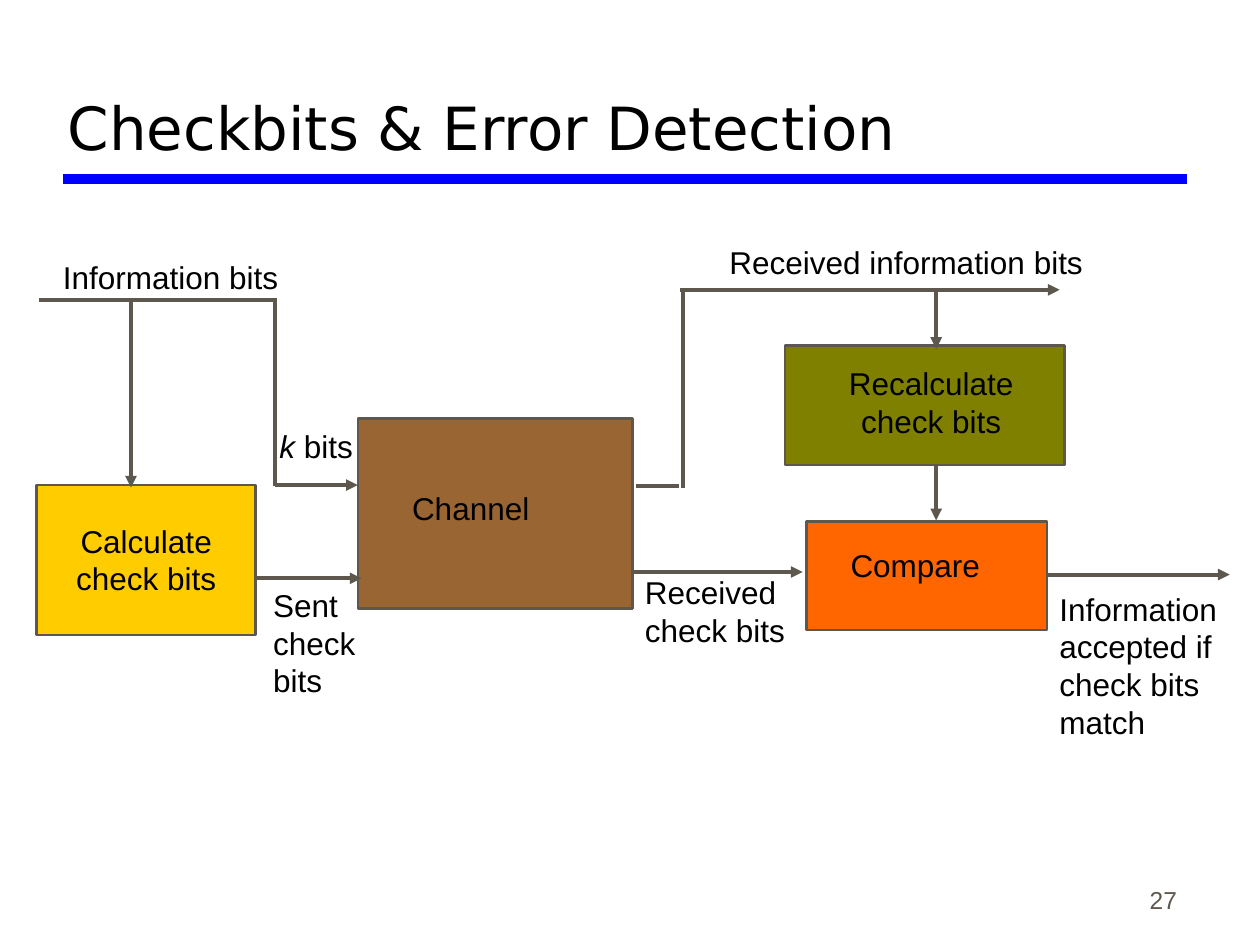
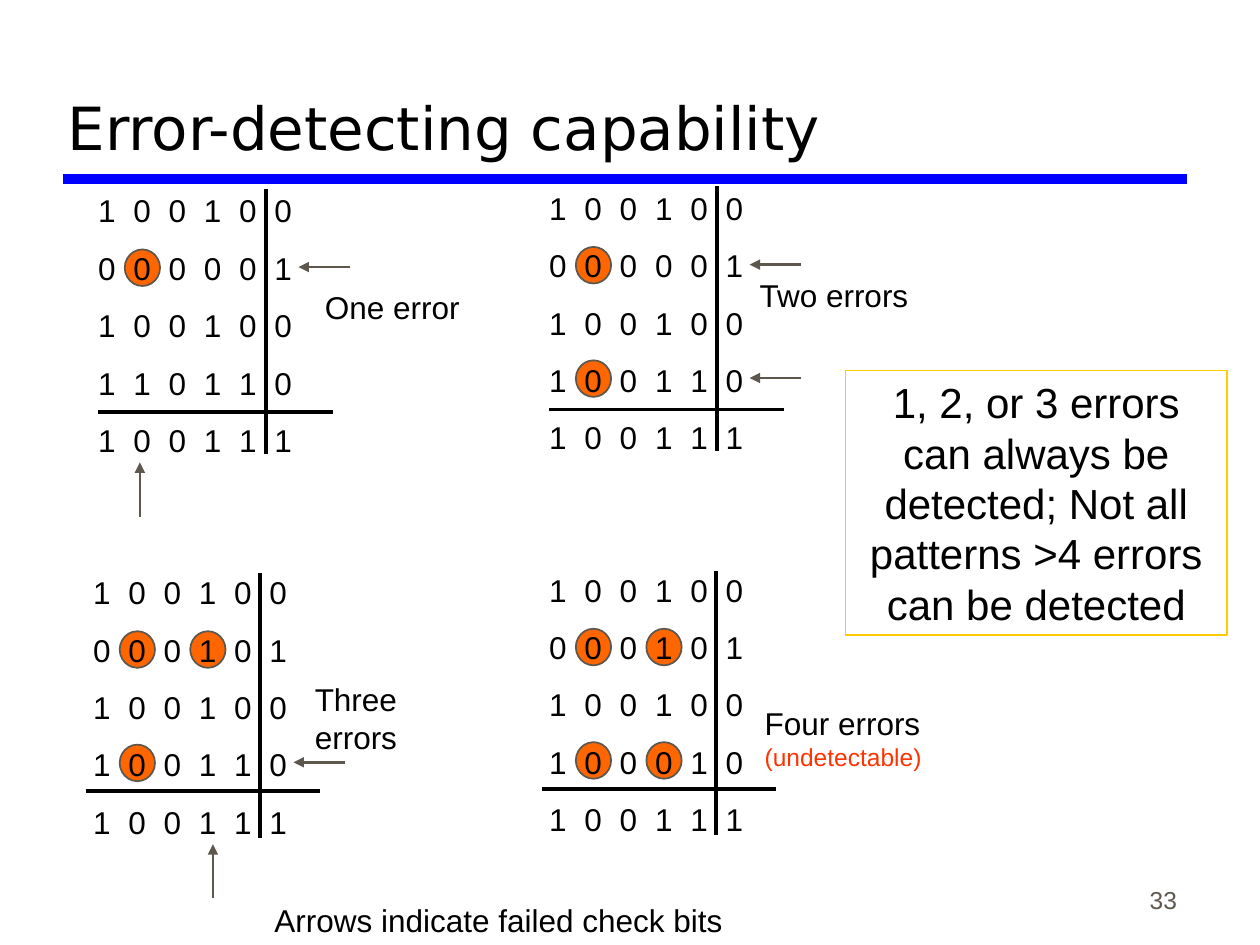
from lxml.etree import SubElement
from pptx import Presentation
from pptx.dml.color import RGBColor
from pptx.enum.shapes import MSO_CONNECTOR as CONN, MSO_SHAPE as SHAPE
from pptx.enum.text import MSO_ANCHOR as ANCHOR, PP_ALIGN as ALIGN
from pptx.oxml.ns import qn
from pptx.util import Inches, Pt

COLORS = {
    "bar": "0000FF",
    "line": "5E574E",
    "text": "000000",
    "warning": "FF3300",
    "calculate": "FFCC00",
    "channel": "996633",
    "recalculate": "808000",
    "compare": "FF6600",
    "error": "FF6600",
    "callout": "FFCC00",
}
BODY_FONT = "Arial"
TITLE_FONT = "DejaVu Sans"
DIGIT_PITCH = 0.28
ROW_PITCH = 0.45


def rgb(name):
    return RGBColor.from_string(COLORS[name])


def write(sp, paragraphs, size=18, font=BODY_FONT, color="text", align=ALIGN.LEFT,
          anchor=ANCHOR.TOP, insets=(0.1, 0.05, 0.1, 0.05), leading=1.2, before=0,
          tabs=()):
    tf = sp.text_frame
    tf.word_wrap = True
    tf.vertical_anchor = anchor
    tf.margin_left, tf.margin_top, tf.margin_right, tf.margin_bottom = map(Inches, insets)
    for i, runs in enumerate(paragraphs):
        p = tf.paragraphs[0] if i == 0 else tf.add_paragraph()
        p.alignment = align
        if leading:
            p.line_spacing = Pt(size * leading)
        if i and before:
            p.space_before = Pt(before)
        if tabs:
            tab_list = SubElement(p._p.get_or_add_pPr(), qn("a:tabLst"))
            for pos in tabs:
                SubElement(tab_list, qn("a:tab"), pos=str(Inches(pos)), algn="l")
        for text, style in [(runs, {})] if isinstance(runs, str) else runs:
            r = p.add_run()
            r.text = text
            r.font.name = font
            r.font.size = Pt(style.get("size", size))
            r.font.italic = style.get("italic", False)
            r.font.color.rgb = rgb(style.get("color", color))


def add_text(s, box, paragraphs, **fmt):
    write(s.shapes.add_textbox(*map(Inches, box)), paragraphs, **fmt)


def add_shape(s, kind, box, fill, line, width):
    sp = s.shapes.add_shape(kind, *map(Inches, box))
    sp.shadow.inherit = False
    if fill:
        sp.fill.solid()
        sp.fill.fore_color.rgb = rgb(fill)
    else:
        sp.fill.background()
    sp.line.color.rgb = rgb(line)
    sp.line.width = Pt(width)
    return sp


def add_line(s, x1, y1, x2, y2, color="line", width=2.25, arrow=False):
    c = s.shapes.add_connector(CONN.STRAIGHT, *map(Inches, (x1, y1, x2, y2)))
    c.line.color.rgb = rgb(color)
    c.line.width = Pt(width)
    if arrow:
        SubElement(c.line._get_or_add_ln(), qn("a:tailEnd"), type="triangle")
    SubElement(c._element.spPr, qn("a:effectLst"))


def add_slide(prs, title, number):
    s = prs.slides.add_slide(prs.slide_layouts[6])
    add_line(s, 0.5, 1.42, 9.42, 1.42, color="bar", width=6)
    add_text(s, (0.44, 0.17, 8.97, 1.17), [title], size=34, font=TITLE_FONT,
             anchor=ANCHOR.BOTTOM, leading=None)
    add_text(s, (7.36, 6.81, 2.08, 0.5), [number], size=14, color="line",
             align=ALIGN.RIGHT, anchor=ANCHOR.BOTTOM)
    return s


def channel_diagram(s, x, y):
    blocks = [
        ("Calculate check bits", "calculate", (-0.01, 1.95, 1.74, 1.19),
         (0.1, 0.29, 0.1, 0), ALIGN.CENTER),
        ("Channel", "channel", (2.54, 1.42, 2.18, 1.51),
         (0.43, 0.56, 0.1, 0), ALIGN.LEFT),
        ("Recalculate check bits", "recalculate", (5.93, 0.84, 2.22, 0.95),
         (0.33, 0.15, 0.23, 0), ALIGN.CENTER),
        ("Compare", "compare", (6.1, 2.24, 1.91, 0.86),
         (0.35, 0.19, 0.1, 0), ALIGN.LEFT),
    ]
    for label, fill, (dx, dy, w, h), insets, align in blocks:
        sp = add_shape(s, SHAPE.RECTANGLE, (x + dx, y + dy, w, h), fill, "line", 1.5)
        write(sp, [label], insets=insets, align=align)

    wires = [
        (0.01, 0.48, 1.9, 0.48),
        (1.88, 0.48, 1.88, 1.96),
        (4.75, 1.96, 5.09, 1.96),
        (5.12, 1.97, 5.12, 0.4),
    ]
    arrows = [
        (0.74, 0.48, 0.74, 1.97),
        (1.73, 2.69, 2.57, 2.69),
        (1.88, 1.95, 2.54, 1.95),
        (4.72, 2.64, 6.07, 2.64),
        (7.13, 1.78, 7.13, 2.23),
        (5.1, 0.4, 8.11, 0.4),
        (7.13, 0.41, 7.13, 0.87),
        (8.01, 2.66, 9.46, 2.66),
    ]
    for group, arrow in ((wires, False), (arrows, True)):
        for x1, y1, x2, y2 in group:
            add_line(s, x + x1, y + y1, x + x2, y + y2, arrow=arrow)

    labels = [
        (["Information bits"], (0.1, 0.1, 2.25, 0.4)),
        (["Received information bits"], (5.39, -0.02, 3.43, 0.4)),
        (["Sent check", "bits"], (1.77, 2.7, 1.01, 1)),
        (["Information accepted if check bits match"], (8.01, 2.73, 1.65, 1.3)),
        (["Received check bits"], (4.72, 2.6, 1.56, 0.7)),
        ([[("k", {"italic": True}), (" bits", {})]], (1.82, 1.44, 0.9, 0.4)),
    ]
    for paragraphs, (dx, dy, w, h) in labels:
        add_text(s, (x + dx, y + dy, w, h), paragraphs)


def parity_matrix(s, x, y, rows, errors, failed_rows, failed_cols, h_rule, v_rule):
    for row, col in errors:
        box = (x + 0.03 + DIGIT_PITCH * col, y + 0.06 + ROW_PITCH * row, 0.28, 0.29)
        add_shape(s, SHAPE.OVAL, box, "error", "line", 1)
    add_text(s, (x, y, 2.08, 2.23), ["\t".join(row) for row in rows], before=11.2,
             tabs=[DIGIT_PITCH * n for n in range(1, 6)])
    hx, hy = x + h_rule[0], y + h_rule[1]
    vx, vy = x + v_rule[0], y + v_rule[1]
    add_line(s, hx, hy, hx + 1.86, hy, color="text")
    add_line(s, vx, vy, vx, vy + 2.1, color="text")
    for row in failed_rows:
        ay = y + 0.2 + ROW_PITCH * row
        add_line(s, x + 2.1, ay, x + 1.69, ay, width=1.5, arrow=True)
    for col in failed_cols:
        ax = x + 0.12 + 0.31 * col
        add_line(s, ax, y + 2.63, ax, y + 2.2, width=1.5, arrow=True)


def error_matrices(s):
    top = {"h_rule": (0.1, 1.8), "v_rule": (1.43, 0.03)}
    bottom = {"h_rule": (0.04, 1.78), "v_rule": (1.42, 0.05)}
    first, check = "100100", "100111"
    panels = [
        (0.68, 1.47, ("000001", "110110"), [(1, 1)], [1], [1], top),
        (4.26, 1.45, ("000001", "100110"), [(1, 1), (3, 1)], [1, 3], [], top),
        (0.64, 4.5, ("000101", "100110"), [(1, 1), (1, 3), (3, 1)], [3], [3], bottom),
        (4.26, 4.48, ("000101", "100010"), [(1, 1), (1, 3), (3, 1), (3, 3)], [], [], bottom),
    ]
    for x, y, (second, fourth), errors, failed_rows, failed_cols, rules in panels:
        rows = [first, second, first, fourth, check]
        parity_matrix(s, x, y, rows, errors, failed_rows, failed_cols, **rules)


def error_captions(s):
    add_text(s, (2.48, 2.24, 1.32, 0.4), ["One error"])
    add_text(s, (5.93, 2.14, 1.39, 0.4), ["Two errors"])
    add_text(s, (2.4, 5.35, 1.51, 0.7), ["Three errors"])
    add_text(s, (5.97, 5.54, 1.51, 0.64),
             [[("Four errors ", {}), ("(undetectable)", {"size": 14, "color": "warning"})]],
             leading=None)
    add_text(s, (2.08, 7.1, 4.2, 0.4), ["Arrows indicate failed check bits"])


def callout(s, box):
    sp = add_shape(s, SHAPE.RECTANGLE, box, None, "callout", 1)
    write(sp, ["1, 2, or 3 errors can always be detected; Not all patterns >4 errors "
               "can be detected"], size=24, align=ALIGN.CENTER)


def main():
    prs = Presentation()
    prs.slide_width, prs.slide_height = Inches(10), Inches(7.5)

    s = add_slide(prs, "Checkbits & Error Detection", "27")
    channel_diagram(s, 0.3, 1.9)

    s = add_slide(prs, "Error-detecting capability", "33")
    error_matrices(s)
    error_captions(s)
    callout(s, (6.71, 2.94, 3.03, 2.1))

    prs.save("out.pptx")


if __name__ == "__main__":
    main()
